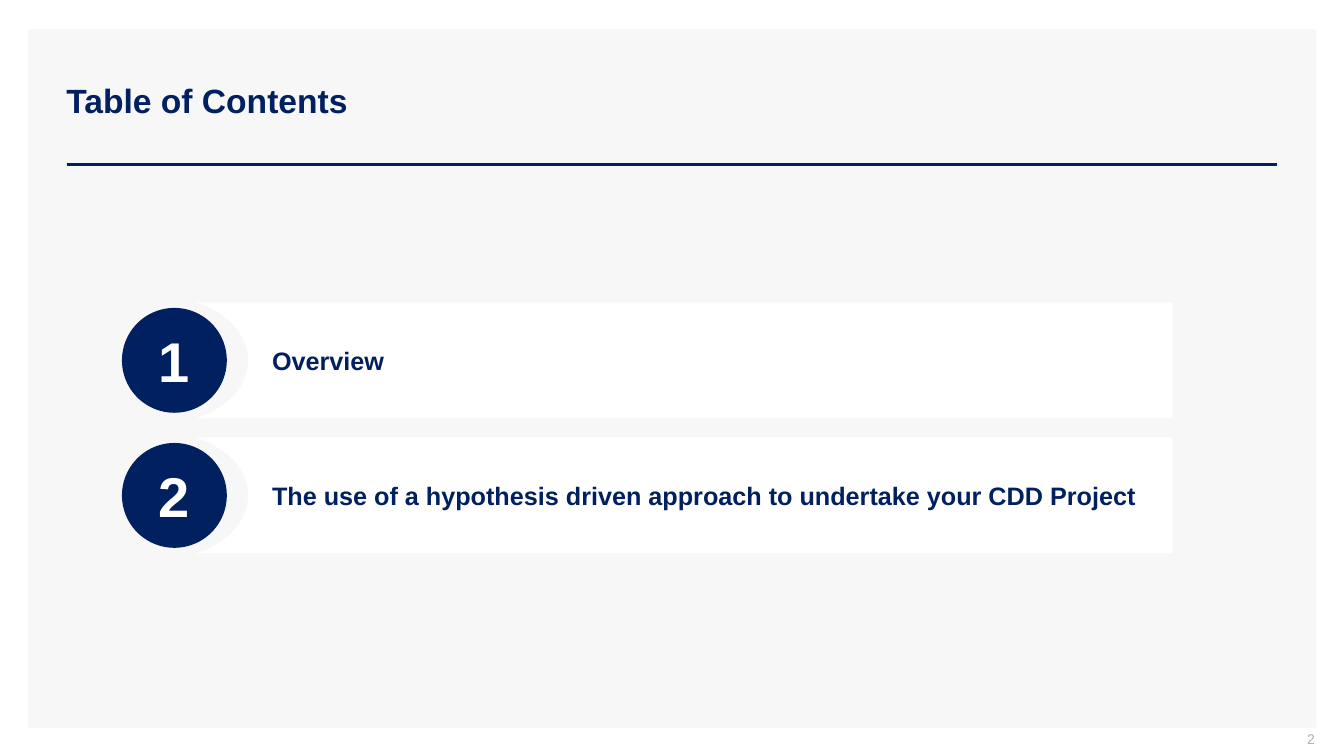
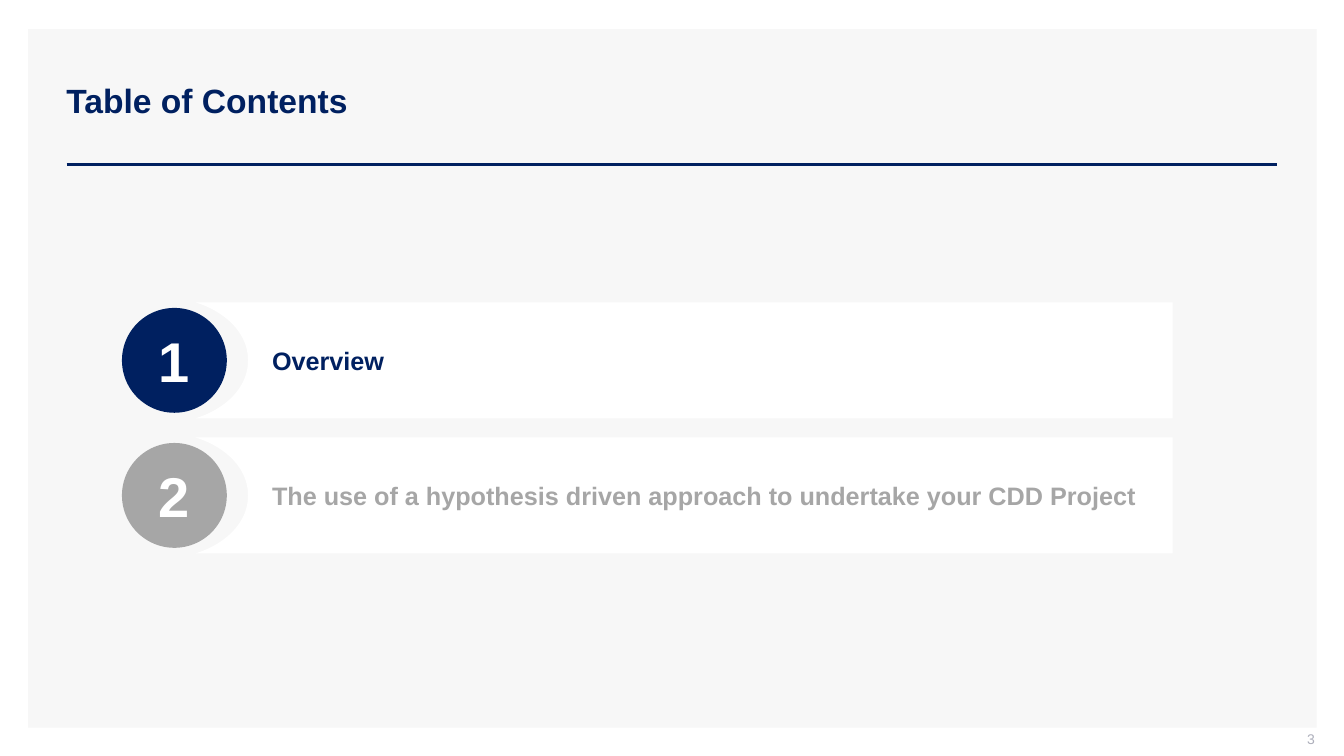
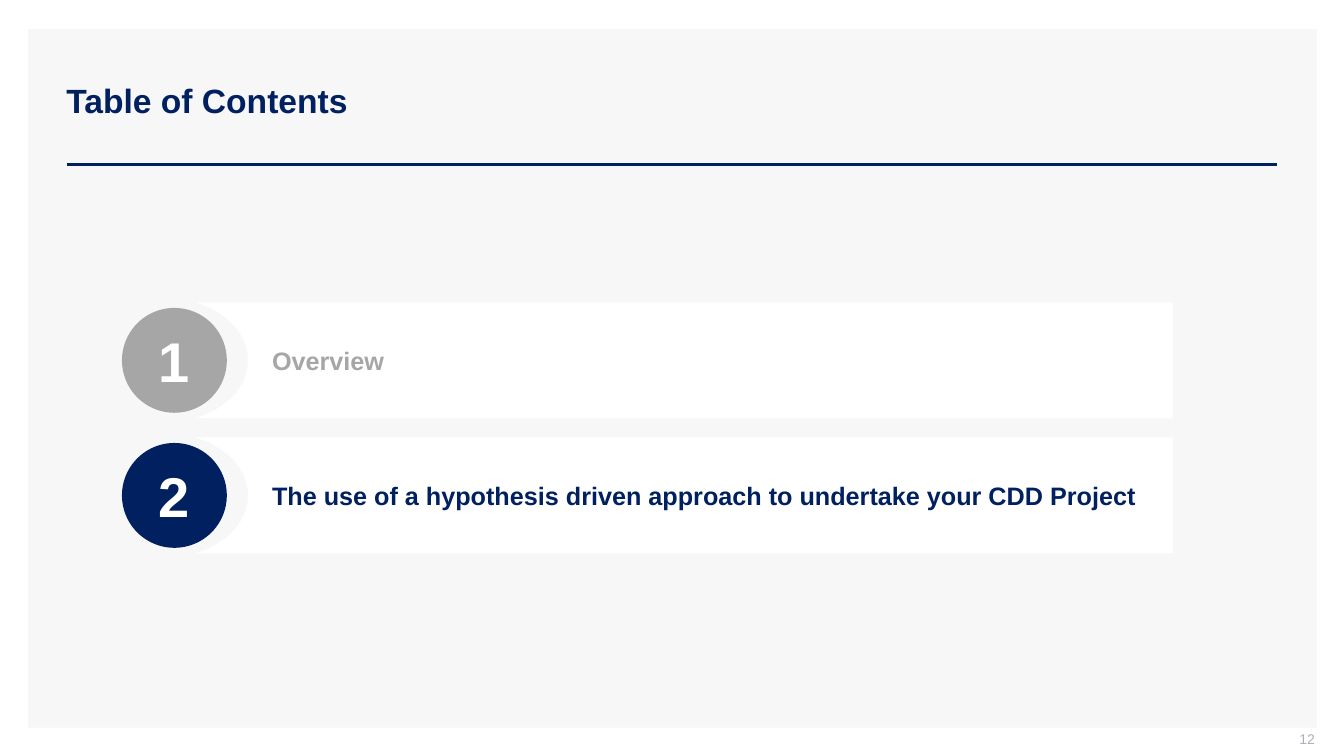
from lxml.etree import SubElement
from pptx import Presentation
from pptx.dml.color import RGBColor
from pptx.enum.shapes import MSO_CONNECTOR, MSO_SHAPE
from pptx.enum.text import MSO_ANCHOR, PP_ALIGN
from pptx.oxml.ns import qn
from pptx.util import Inches, Pt

COLORS = {
    "panel": "F7F7F7",
    "navy": "002060",
    "muted": "A6A6A6",
    "white": "FFFFFF",
    "page": "ADAFBB",
}
FONT = "Arial"
TITLE = "Table of Contents"
CHAPTERS = [
    "Overview",
    "The use of a hypothesis driven approach to undertake your CDD Project",
]
# Page number and the chapters highlighted on that page
AGENDA_PAGES = [("2", {1, 2}), ("3", {1}), ("12", {2})]

# Chapter row geometry in inches
BAR_LEFT, BAR_TOP, BAR_WIDTH, BAR_HEIGHT = 1.94, 3, 9.69, 1.15
ROW_PITCH = 1.34
BADGE_LEFT, BADGE_SIZE = 1.21, 1.04
# Lower half of the bar's rounded notch: Bezier points relative to the bar
NOTCH = [(0.03, 1.14), (0.32, 1.04), (0.52, 0.83), (0.52, 0.575)]
NOTCH_STEPS = 24


def rgb(name):
    return RGBColor.from_string(COLORS[name])


def fill_plain(shape, color):
    shape.shadow.inherit = False
    shape.fill.solid()
    shape.fill.fore_color.rgb = rgb(color)
    shape.line.fill.background()


def write(shape, text, size, color, align=PP_ALIGN.LEFT, bold=True):
    frame = shape.text_frame
    frame.word_wrap = True
    frame.vertical_anchor = MSO_ANCHOR.MIDDLE
    frame.text = text
    paragraph = frame.paragraphs[0]
    paragraph.alignment = align
    font = paragraph.runs[0].font
    font.name, font.size, font.bold = FONT, Pt(size), bold
    font.color.rgb = rgb(color)
    return paragraph


def add_text(slide, box, *style, **options):
    label = slide.shapes.add_textbox(*map(Inches, box))
    write(label, *style, **options)
    return label


def add_frame(slide, page_number):
    # Background panel
    panel = slide.shapes.add_shape(
        MSO_SHAPE.RECTANGLE, *map(Inches, (0.28, 0.29, 12.78, 6.93)))
    fill_plain(panel, "panel")

    # Title and rule
    rule = slide.shapes.add_connector(
        MSO_CONNECTOR.STRAIGHT, *map(Inches, (0.66, 1.63, 12.67, 1.63)))
    rule.line.color.rgb = rgb("navy")
    rule.line.width = Pt(2)
    SubElement(rule._element.spPr, qn("a:effectLst"))
    add_text(slide, (0.56, 0.4, 12.11, 1.19), TITLE, 24, "navy")

    # Page number
    footer = add_text(slide, (10.04, 7.25, 3, 0.21), page_number, 10, "page",
                      align=PP_ALIGN.RIGHT, bold=False)
    footer.text_frame.margin_top = footer.text_frame.margin_right = 0
    footer.text_frame.margin_bottom = Inches(0.05)


def notch_points():
    lower = []
    for step in range(NOTCH_STEPS + 1):
        t = step / NOTCH_STEPS
        weights = ((1 - t) ** 3, 3 * t * (1 - t) ** 2, 3 * t ** 2 * (1 - t), t ** 3)
        lower.append(tuple(sum(w * point[axis] for w, point in zip(weights, NOTCH))
                           for axis in (0, 1)))
    upper = [(x, BAR_HEIGHT - y) for x, y in reversed(lower[:-1])]
    return lower + upper


def add_chapter_bar(slide, top, chapter, color):
    outline = [(0, 0), (BAR_WIDTH, 0), (BAR_WIDTH, BAR_HEIGHT), (0, BAR_HEIGHT),
               *notch_points()]
    corner, *rest = [(Inches(BAR_LEFT + x), Inches(top + y)) for x, y in outline]
    builder = slide.shapes.build_freeform(*corner)
    builder.add_line_segments(rest, close=True)
    bar = builder.convert_to_shape()
    fill_plain(bar, "white")
    paragraph = write(bar, chapter, 18, color)
    properties = paragraph._p.get_or_add_pPr()
    properties.set("marL", str(Inches(0.66)))
    properties.set("indent", "0")


def add_badge(slide, top, number, color):
    badge_top = top + (BAR_HEIGHT - BADGE_SIZE) / 2
    badge = slide.shapes.add_shape(
        MSO_SHAPE.OVAL,
        *map(Inches, (BADGE_LEFT, badge_top, BADGE_SIZE, BADGE_SIZE)))
    fill_plain(badge, color)
    write(badge, str(number), 40, "white", align=PP_ALIGN.CENTER)


def add_agenda(slide, highlighted):
    for number, chapter in enumerate(CHAPTERS, start=1):
        top = BAR_TOP + (number - 1) * ROW_PITCH
        color = "navy" if number in highlighted else "muted"
        add_chapter_bar(slide, top, chapter, color)
        add_badge(slide, top, number, color)


def main():
    deck = Presentation()
    deck.slide_width, deck.slide_height = Inches(13.33), Inches(7.5)
    blank = deck.slide_layouts[6]
    for page_number, highlighted in AGENDA_PAGES:
        slide = deck.slides.add_slide(blank)
        add_frame(slide, page_number)
        add_agenda(slide, highlighted)
    deck.save("out.pptx")


if __name__ == "__main__":
    main()
